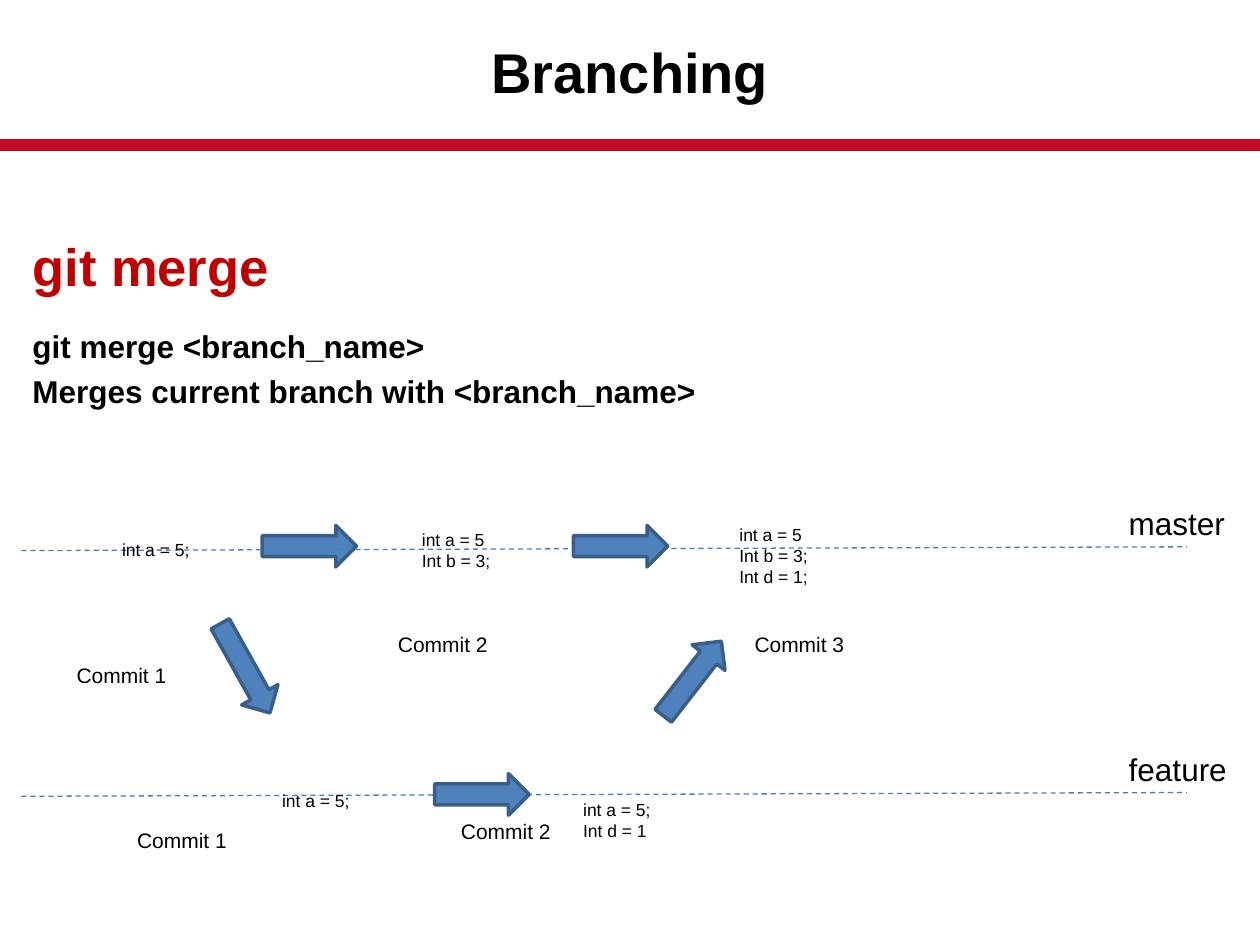
from typing import NamedTuple

from lxml import etree
from pptx import Presentation
from pptx import util as u
from pptx.dml.color import RGBColor
from pptx.enum import dml, shapes, text
from pptx.oxml.ns import qn

FONT = "Arial"
BLACK, RED = "000000", "C00000"
LEFT, MID = text.PP_ALIGN.LEFT, text.PP_ALIGN.CENTER


class Line(NamedTuple):
    words: str
    size: float
    color: str = BLACK
    bold: bool = False
    before: float = 0


class Label(NamedTuple):
    x: float
    y: float
    w: float
    h: float
    lines: list
    align: text.PP_ALIGN = LEFT
    top: float = 0.05


class Arrow(NamedTuple):
    x: float
    y: float
    w: float = 0.75
    turn: float = 0


class Branch(NamedTuple):
    name: str
    y: float


def paint(color: str) -> RGBColor:
    return RGBColor.from_string(color)


def add_label(slide, item: Label) -> None:
    box = slide.shapes.add_textbox(*map(u.Inches, item[:4]))
    frame = box.text_frame
    look = {"word_wrap": True, "margin_top": u.Inches(item.top),
            "vertical_anchor": text.MSO_ANCHOR.TOP}
    for key, value in look.items():
        setattr(frame, key, value)
    for i, line in enumerate(item.lines):
        para = frame.add_paragraph() if i else frame.paragraphs[0]
        para.alignment = item.align
        if line.before:
            para.space_before = u.Pt(line.before)
        run = para.add_run()
        run.text = line.words
        style = {"name": FONT, "size": u.Pt(line.size), "bold": line.bold}
        for key, value in style.items():
            setattr(run.font, key, value)
        run.font.color.rgb = paint(line.color)


def add_arrow(slide, item: Arrow) -> None:
    shape = slide.shapes.add_shape(
        shapes.MSO_SHAPE.RIGHT_ARROW,
        *map(u.Inches, (item.x, item.y, item.w, 0.33)))
    shape.shadow.inherit = False
    shape.rotation = item.turn
    shape.fill.solid()
    shape.fill.fore_color.rgb = paint("4F81BD")
    shape.line.color.rgb = paint("395E89")
    shape.line.width = u.Pt(2)


def add_rule(slide, ends: tuple, color: str, width: float,
             dash: bool = False) -> None:
    rule = slide.shapes.add_connector(
        shapes.MSO_CONNECTOR.STRAIGHT, *map(u.Inches, ends))
    etree.SubElement(rule._element.spPr, qn("a:effectLst"))
    rule.line.color.rgb = paint(color)
    rule.line.width = u.Pt(width)
    if dash:
        rule.line.dash_style = dml.MSO_LINE.DASH


def code(x: float, y: float, *rows: str) -> Label:
    return Label(x, y, 1.25, 0.1 + 0.17 * len(rows),
                 [Line(row, 10) for row in rows])


def commit(x: float, y: float, w: float, num: int) -> Label:
    return Label(x, y, w, 0.3, [Line(f"Commit {num}", 12)], MID)


HEADS = [
    Label(0.5, 0.2, 9, 0.94, [Line("Branching", 32, bold=True)], MID, 0.1),
    Label(0.16, 1.78, 6.83, 1.94, [
        Line("git merge", 30, RED, True),
        Line("git merge <branch_name>", 18, BLACK, True, 17),
        Line("Merges current branch with <branch_name>", 18, BLACK, True, 4),
    ], LEFT, 0.08),
]
BRANCHES = [Branch("master", 4.37), Branch("feature", 6.32)]
FIRST = Arrow(2.08, 4.17)
ARROWS = [
    Arrow(1.54, 5.14, 0.81, 60.8),
    Arrow(3.45, 6.14),
    Arrow(4.55, 4.17),
    Arrow(5.12, 5.22, turn=307.9),
]
NOTES = [
    code(0.87, 4.23, "int a = 5;"),
    code(3.25, 4.15, "int a = 5", "Int b = 3;"),
    code(5.77, 4.11, "int a = 5", "Int b = 3;", "Int d = 1;"),
    code(2.14, 6.22, "int a = 5;"),
    code(4.53, 6.29, "int a = 5;", "Int d = 1"),
    commit(-0.02, 5.21, 1.97, 1),
    commit(2.83, 4.96, 1.37, 2),
    commit(5.66, 4.96, 1.37, 3),
    commit(0.46, 6.52, 1.97, 1),
    commit(3.03, 6.45, 1.97, 2),
]


def main() -> None:
    deck = Presentation()
    deck.slide_width, deck.slide_height = u.Inches(10), u.Inches(7.5)
    slide = deck.slides.add_slide(deck.slide_layouts[6])

    # Title, red rule and command
    add_rule(slide, (0, 1.15, 10, 1.15), "C10B25", 6.5)
    for head in HEADS:
        add_label(slide, head)

    # Branch lines run over the first arrow and under the others
    add_arrow(slide, FIRST)
    for branch in BRANCHES:
        add_rule(slide, (0.17, branch.y, 9.42, branch.y - 0.03),
                 "4A7DBA", 0.75, True)
        add_label(slide, Label(8.86, branch.y - 0.42, 1.25, 0.4,
                               [Line(branch.name, 18)]))
    for arrow in ARROWS:
        add_arrow(slide, arrow)

    # Code states and commit names
    for note in NOTES:
        add_label(slide, note)

    deck.save("out.pptx")


if __name__ == "__main__":
    main()
